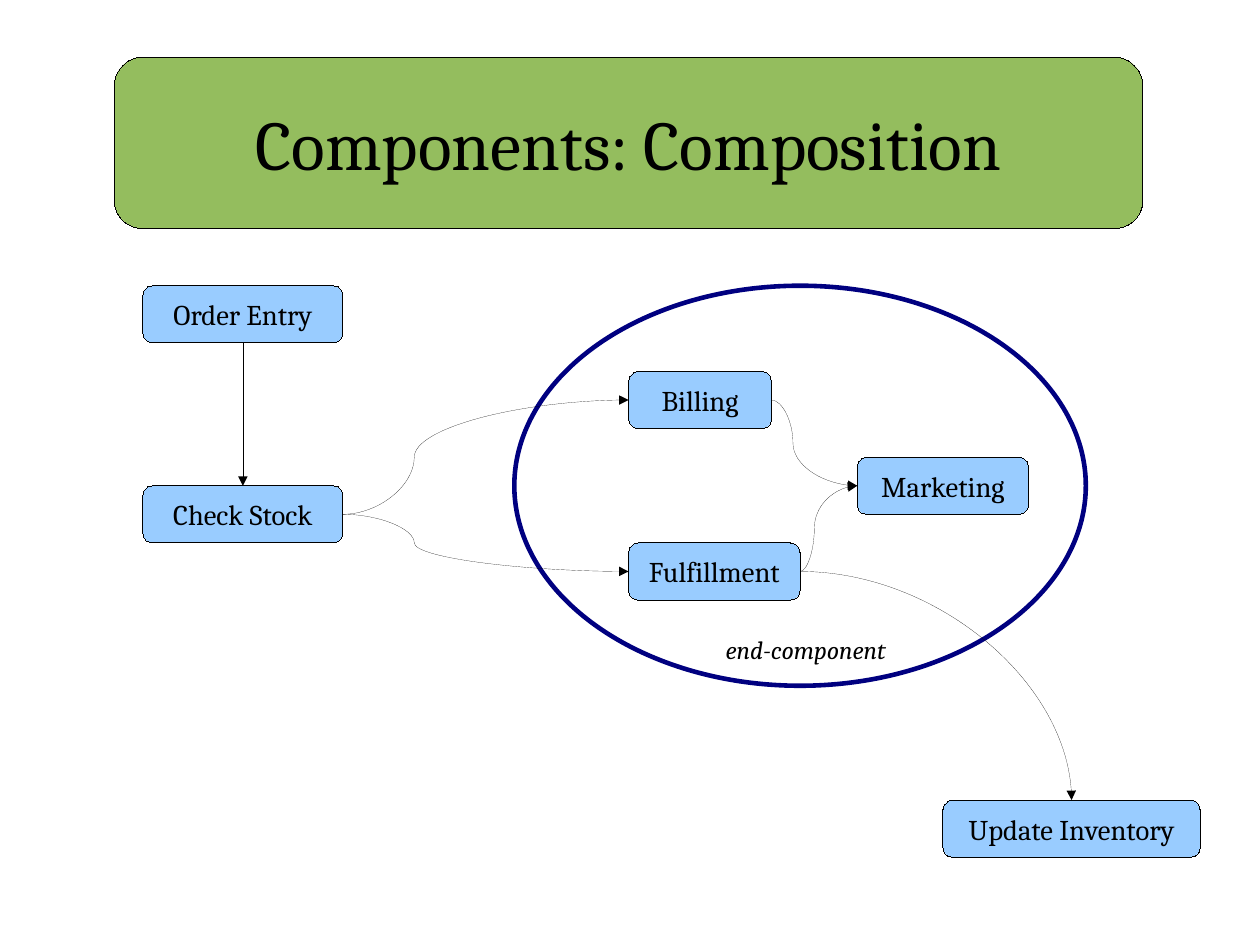
import pptx
import pptx.util
import pptx.dml.color
import pptx.enum.shapes
import pptx.enum.text
import pptx.oxml.ns
from lxml import etree

Inches = pptx.util.Inches
Pt = pptx.util.Pt
SHAPE = pptx.enum.shapes.MSO_SHAPE
CONNECTOR = pptx.enum.shapes.MSO_CONNECTOR
ALIGN = pptx.enum.text.PP_ALIGN
ANCHOR = pptx.enum.text.MSO_ANCHOR

FONT = "Cambria"
COLOURS = {"title": "94BD5E", "step": "99CCFF", "component": "000080",
           "paper": "FFFFFF", "ink": "000000"}
STEP_HEIGHT = 0.5
TOP, LEFT, BOTTOM, RIGHT = range(4)

# Step name: left, top, width in inches
STEPS = {
    "Order Entry": (1.25, 2.5, 1.75),
    "Check Stock": (1.25, 4.25, 1.75),
    "Billing": (5.5, 3.25, 1.25),
    "Fulfillment": (5.5, 4.75, 1.5),
    "Marketing": (7.5, 4, 1.5),
    "Update Inventory": (8.25, 7, 2.25),
}
# Source step, its side, target step, its side, connector form
FLOWS = [
    ("Order Entry", BOTTOM, "Check Stock", TOP, "straight"),
    ("Check Stock", RIGHT, "Billing", LEFT, "s-curve"),
    ("Check Stock", RIGHT, "Fulfillment", LEFT, "s-curve"),
    ("Billing", RIGHT, "Marketing", LEFT, "s-curve"),
    ("Fulfillment", RIGHT, "Marketing", LEFT, "s-curve"),
    ("Fulfillment", RIGHT, "Update Inventory", TOP, "arc"),
]


def colour(name):
    return pptx.dml.color.RGBColor.from_string(COLOURS[name])


def find_child(parent, tag):
    return parent.find(pptx.oxml.ns.qn(tag))


def add_child(parent, tag, **attributes):
    return etree.SubElement(parent, pptx.oxml.ns.qn(tag), attributes)


def set_line(shape, name="ink", width=0):
    """Colour the line; the width goes in as XML because the library drops a zero."""
    shape.line.color.rgb = colour(name)
    find_child(shape.element.spPr, "a:ln").set("w", str(int(Pt(width))))


def write(shape, text, size, align=ALIGN.CENTER, anchor=ANCHOR.MIDDLE, italic=False):
    frame = shape.text_frame
    frame.text = text
    frame.word_wrap = True
    frame.vertical_anchor = anchor
    para = frame.paragraphs[0]
    para.alignment = align
    font = para.runs[0].font
    font.name, font.size, font.italic = FONT, Pt(size), italic
    font.color.rgb = colour("ink")


def add_outlined(page, kind, box, fill):
    shape = page.shapes.add_shape(kind, *map(Inches, box))
    shape.shadow.inherit = False
    shape.fill.solid()
    shape.fill.fore_color.rgb = colour(fill)
    set_line(shape)
    return shape


def add_title(page, text, box):
    panel = add_outlined(page, SHAPE.ROUNDED_RECTANGLE, box, "title")
    title = page.shapes.title
    title.element.addprevious(panel.element)
    title.left, title.top, title.width, title.height = map(Inches, box)
    write(title, text, 44)


def add_end_component(page, box):
    left, top, width, height = box
    ellipse = add_outlined(page, SHAPE.OVAL, box, "paper")
    set_line(ellipse, "component", 2.89)
    label = page.shapes.add_textbox(
        Inches(left + width / 2 - 0.75), Inches(top + height - 0.5),
        Inches(1.75), Inches(0.39))
    write(label, "end-component", 16, ALIGN.LEFT, ANCHOR.TOP, italic=True)


def add_step(page, name, left, top, width):
    step = add_outlined(page, SHAPE.ROUNDED_RECTANGLE,
                        (left, top, width, STEP_HEIGHT), "step")
    write(step, name, 18)
    return step


def add_flow(page, source, source_side, target, target_side, form):
    kind = CONNECTOR.STRAIGHT if form == "straight" else CONNECTOR.CURVE
    flow = page.shapes.add_connector(kind, 0, 0, 0, 0)
    flow.begin_connect(source, source_side)
    flow.end_connect(target, target_side)
    set_line(flow)
    properties = flow.element.spPr
    add_child(find_child(properties, "a:ln"), "a:tailEnd", type="triangle")
    add_child(properties, "a:effectLst")
    geometry = find_child(properties, "a:prstGeom")
    if form == "arc":
        geometry.set("prst", "curvedConnector2")
    elif form == "s-curve":
        add_child(find_child(geometry, "a:avLst"), "a:gd",
                  name="adj1", fmla="val 25000")


def add_workflow(page):
    steps = {name: add_step(page, name, *place) for name, place in STEPS.items()}
    for source, source_side, target, target_side, form in FLOWS:
        add_flow(page, steps[source], source_side, steps[target], target_side, form)


def main():
    deck = pptx.Presentation()
    deck.slide_width, deck.slide_height = pptx.util.Cm(28), pptx.util.Cm(21)
    page = deck.slides.add_slide(deck.slide_layouts.get_by_name("Title Only"))
    add_title(page, "Components: Composition", (1, 0.5, 9, 1.5))
    add_end_component(page, (4.5, 2.5, 5, 3.5))
    add_workflow(page)
    deck.save("out.pptx")


if __name__ == "__main__":
    main()
